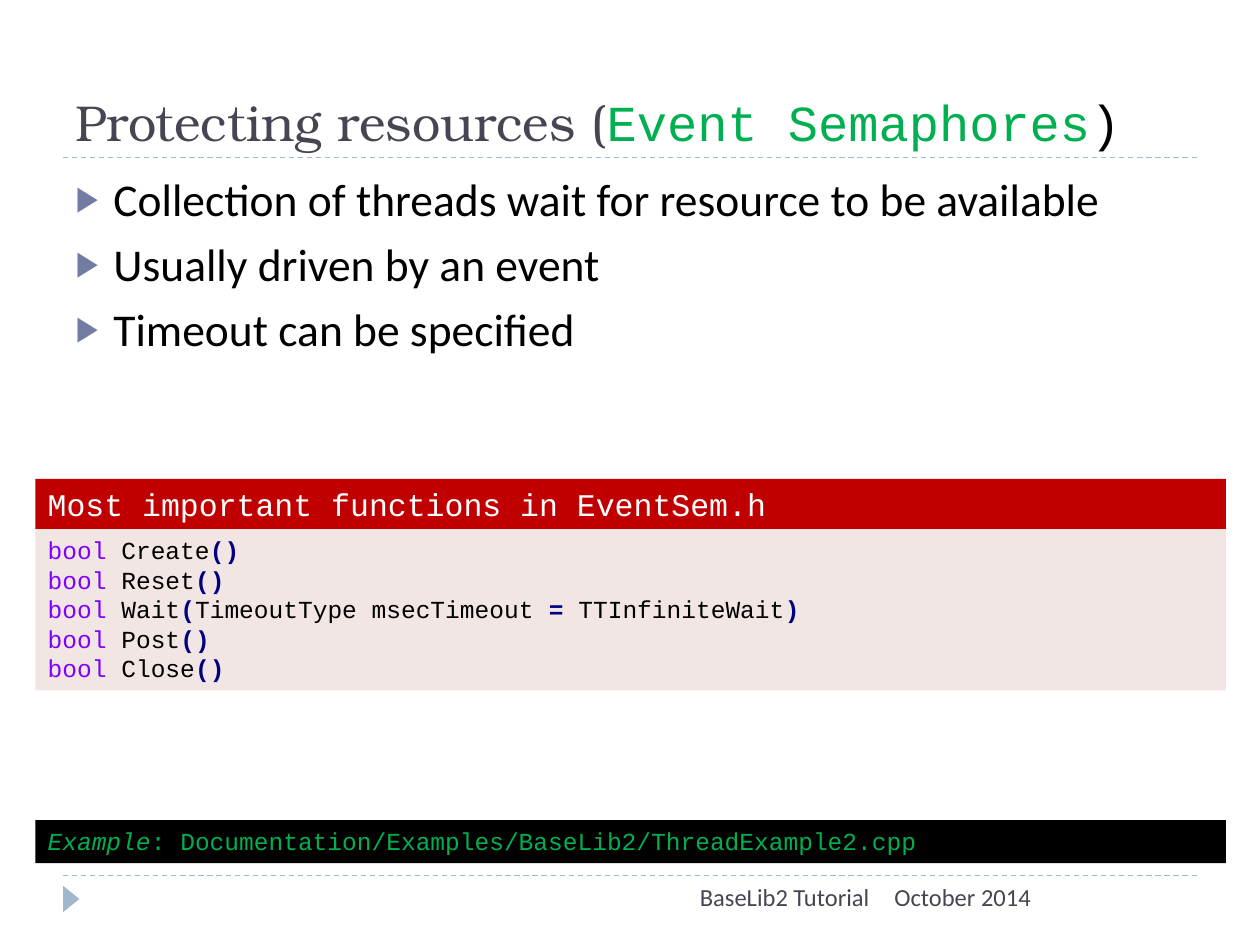
from lxml.etree import SubElement
from pptx import Presentation
from pptx.dml.color import RGBColor
from pptx.enum.dml import MSO_LINE
from pptx.enum.shapes import MSO_CONNECTOR, MSO_SHAPE
from pptx.enum.text import MSO_ANCHOR, MSO_AUTO_SIZE, PP_ALIGN
from pptx.oxml.ns import qn
from pptx.util import Inches, Pt

BLACK = RGBColor(0x00, 0x00, 0x00)
WHITE = RGBColor(0xFF, 0xFF, 0xFF)
SLATE = RGBColor(0x46, 0x46, 0x53)
SKY = RGBColor(0x9F, 0xB8, 0xCD)
GREEN = RGBColor(0x00, 0xB0, 0x50)
RED = RGBColor(0xC0, 0x00, 0x00)
ROSE = RGBColor(0xF1, 0xE6, 0xE3)
PURPLE = RGBColor(0x80, 0x00, 0xFF)
NAVY = RGBColor(0x00, 0x00, 0x80)
BULLET = RGBColor(0x72, 0x7C, 0xA3)

SERIF, SANS, MONO = "TeX Gyre Bonum", "Calibri", "Courier New"
LEFT, WIDE = 0.28, 9.45


class Deck:
    def __init__(self):
        self.file = Presentation()
        self.file.slide_width = Inches(10)
        self.file.slide_height = Inches(7.5)
        self.slide = self.file.slides.add_slide(self.file.slide_layouts[1])
        self.shapes = self.slide.shapes

    def place(self, shape, left, top, width, height):
        shape.left, shape.top = Inches(left), Inches(top)
        shape.width, shape.height = Inches(width), Inches(height)

    def style(self, run, size, face, color, bold=False, italic=False):
        font = run.font
        font.size, font.name = Pt(size), face
        font.bold, font.italic = bold, italic
        font.color.rgb = color

    def fill_runs(self, para, parts, size, face=MONO):
        for text, *look in parts:
            run = para.add_run()
            run.text = text
            self.style(run, size, face, *look)

    def title(self, head, parts):
        shape = self.shapes.title
        self.place(shape, 0.5, 0.17, 9, 1.08)
        frame = shape.text_frame
        frame.vertical_anchor = MSO_ANCHOR.BOTTOM
        frame.auto_size = MSO_AUTO_SIZE.NONE
        frame.text = head
        para = frame.paragraphs[0]
        para.alignment = PP_ALIGN.LEFT
        self.style(para.runs[0], 28.8, SERIF, SLATE)
        self.fill_runs(para, parts, 28.8)

    def body(self, items):
        shape = self.slide.placeholders[1]
        self.place(shape, 0.5, 1.31, 9, 2.44)
        frame = shape.text_frame
        frame.auto_size = MSO_AUTO_SIZE.NONE
        frame.text = "\n".join(items)
        for para in frame.paragraphs:
            para.space_before = Pt(6)
            self.style(para.runs[0], 26, SANS, BLACK)
            self.bullet(para)

    def bullet(self, para):
        props = para._p.get_or_add_pPr()
        props.set("marL", str(Inches(0.3)))
        props.set("indent", str(-Inches(0.3)))
        color = SubElement(props, qn("a:buClr"))
        SubElement(color, qn("a:srgbClr"), val=str(BULLET))
        SubElement(props, qn("a:buSzPct"), val="76000")
        SubElement(props, qn("a:buChar"), char="▶")

    def shape(self, kind, box, fill, shapes=None):
        shape = (shapes or self.shapes).add_shape(kind, *map(Inches, box))
        shape.shadow.inherit = False
        shape.fill.solid()
        shape.fill.fore_color.rgb = fill
        shape.line.fill.background()
        return shape

    def panel(self, top, height, fill, lines, size, shapes=None):
        box = (LEFT, top, WIDE, height)
        frame = self.shape(MSO_SHAPE.RECTANGLE, box, fill, shapes).text_frame
        frame.word_wrap = True
        frame.vertical_anchor = MSO_ANCHOR.TOP
        frame.text = "\n" * (len(lines) - 1)
        for para, parts in zip(frame.paragraphs, lines):
            para.alignment = PP_ALIGN.LEFT
            self.fill_runs(para, parts, size)

    def rule(self, top):
        ends = map(Inches, (0.5, top, 9.5, top))
        line = self.shapes.add_connector(MSO_CONNECTOR.STRAIGHT, *ends)
        line.line.color.rgb = SKY
        line.line.width = Pt(0.75)
        line.line.dash_style = MSO_LINE.DASH
        SubElement(line._element.spPr, qn("a:effectLst"))

    def label(self, text, left, width, align):
        box = map(Inches, (left, 6.95, width, 0.4))
        frame = self.shapes.add_textbox(*box).text_frame
        frame.word_wrap = True
        frame.text = text
        para = frame.paragraphs[0]
        para.alignment = align
        self.style(para.runs[0], 14, SANS, SLATE)


def call(name, *args):
    inner = args or [("()", NAVY, True)]
    return [("bool ", PURPLE), (name, BLACK), *inner]


def main():
    deck = Deck()
    for top in (6.95, 1.25):
        deck.rule(top)
    mark = deck.shape(MSO_SHAPE.ISOSCELES_TRIANGLE, (0.46, 7.07, 0.21, 0.13), SKY)
    mark.rotation = 90

    deck.title("Protecting resources (", [("Event Semaphores", GREEN), (")", BLACK)])
    deck.body([
        "Collection of threads wait for resource to be available",
        "Usually driven by an event",
        "Timeout can be specified",
    ])

    group = deck.shapes.add_group_shape().shapes
    head = [("Most important functions in EventSem.h", WHITE)]
    deck.panel(3.8, 0.4, RED, [head], 18, group)
    wait = call(
        "Wait",
        ("(", NAVY, True),
        ("TimeoutType msecTimeout ", BLACK),
        ("= ", NAVY, True),
        ("TTInfiniteWait", BLACK),
        (")", NAVY, True),
    )
    code = [call("Create"), call("Reset"), wait, call("Post"), call("Close")]
    deck.panel(4.2, 1.28, ROSE, code, 14, group)

    note = [
        ("Example", GREEN, False, True),
        (": Documentation/Examples/BaseLib2/ThreadExample2.cpp", GREEN),
    ]
    deck.panel(6.51, 0.34, BLACK, [note], 14)
    deck.label("October 2014", 7, 2.5, PP_ALIGN.LEFT)
    deck.label("BaseLib2 Tutorial", 3.17, 3.83, PP_ALIGN.RIGHT)
    deck.file.save("out.pptx")


if __name__ == "__main__":
    main()
